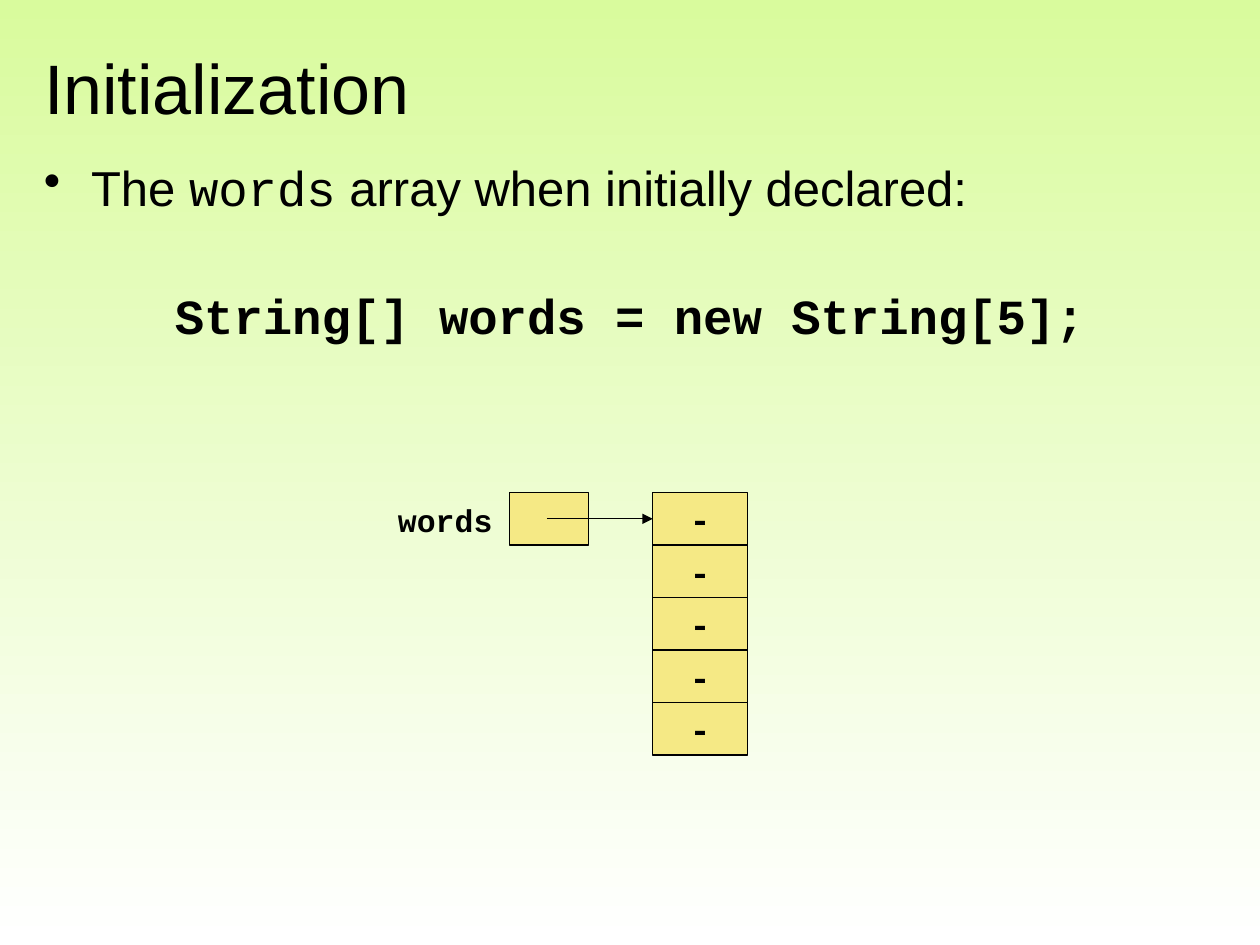
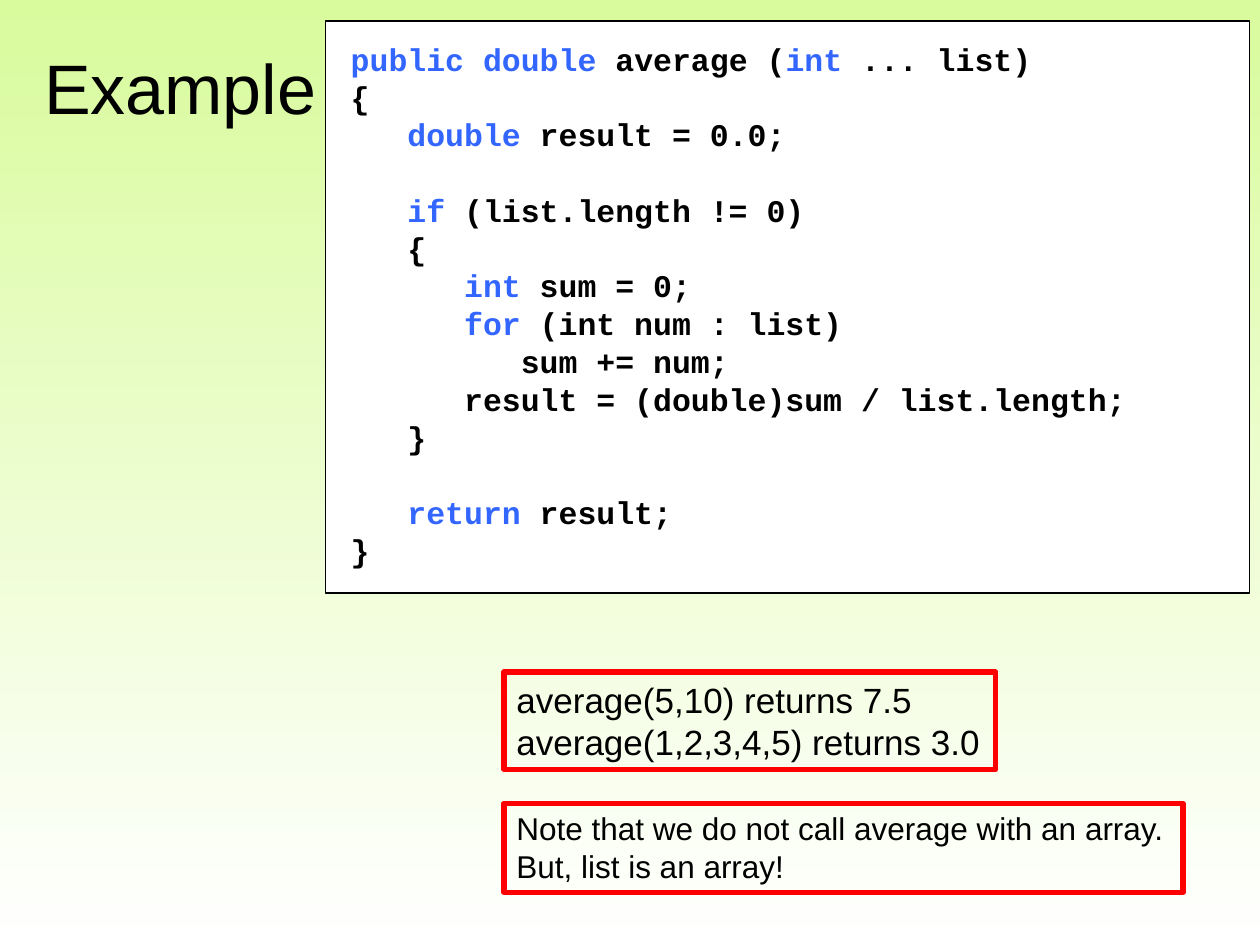
from dataclasses import dataclass
from typing import Optional

from lxml import etree
from pptx import Presentation
from pptx.dml.color import RGBColor
from pptx.enum.shapes import MSO_CONNECTOR, MSO_SHAPE
from pptx.enum.text import MSO_ANCHOR, PP_ALIGN
from pptx.oxml.ns import qn
from pptx.util import Pt

RECTANGLE = MSO_SHAPE.RECTANGLE
STRAIGHT = MSO_CONNECTOR.STRAIGHT
TOP, MIDDLE = MSO_ANCHOR.TOP, MSO_ANCHOR.MIDDLE
LEFT, CENTER = PP_ALIGN.LEFT, PP_ALIGN.CENTER
LEFT_SIDE = 1

SANS, MONO = "Arial", "Courier New"
BLACK, WHITE, LIME = "000000", "FFFFFF", "D9FB9D"
CELL_YELLOW, KEYWORD_BLUE, NOTE_RED = "F5E985", "3366FF", "FF0000"

CODE_SIZE = 18
CODE_INDENT = 32.4  # three Courier characters at 18 pt
CODE_BLANK = 21.5


@dataclass(frozen=True)
class Span:
    text: str
    size: float
    font: str = SANS
    bold: bool = False
    color: str = BLACK


@dataclass(frozen=True)
class Line:
    spans: tuple[Span, ...]
    indent: float = 0
    space_before: float = 0
    spacing: Optional[float] = None
    align: PP_ALIGN = LEFT
    bullet: bool = False


@dataclass(frozen=True)
class Box:
    left: float
    top: float
    width: float
    height: float
    fill: Optional[str] = None
    outline: Optional[str] = None
    weight: float = 0.75
    inset_x: float = 7.2
    inset_y: float = 3.6
    anchor: MSO_ANCHOR = TOP
    wrap: bool = True


def rgb(color: str) -> RGBColor:
    return RGBColor.from_string(color)


def add_span(paragraph, span: Span) -> None:
    run = paragraph.add_run()
    run.text = span.text
    font = run.font
    font.name, font.size, font.bold = span.font, Pt(span.size), span.bold
    font.color.rgb = rgb(span.color)


def write_lines(frame, lines: list[Line]) -> None:
    for number, line in enumerate(lines):
        paragraph = frame.add_paragraph() if number else frame.paragraphs[0]
        paragraph.alignment = line.align
        paragraph.space_before = Pt(line.space_before)
        if line.spacing:
            paragraph.line_spacing = line.spacing
        properties = paragraph._p.get_or_add_pPr()
        properties.set("marL", str(Pt(line.indent)))
        if line.bullet:
            properties.set("indent", str(-Pt(line.indent)))
            etree.SubElement(properties, qn("a:buChar")).set("char", "•")
        for span in line.spans:
            add_span(paragraph, span)


def add_box(slide, box: Box, lines: list[Line]):
    place = Pt(box.left), Pt(box.top), Pt(box.width), Pt(box.height)
    if box.outline:
        shape = slide.shapes.add_shape(RECTANGLE, *place)
        shape.shadow.inherit = False
        shape.line.color.rgb = rgb(box.outline)
        shape.line.width = Pt(box.weight)
        if box.fill:
            shape.fill.solid()
            shape.fill.fore_color.rgb = rgb(box.fill)
        else:
            shape.fill.background()
    else:
        shape = slide.shapes.add_textbox(*place)
    frame = shape.text_frame
    frame.word_wrap = box.wrap
    frame.vertical_anchor = box.anchor
    frame.margin_left = frame.margin_right = Pt(box.inset_x)
    frame.margin_top = frame.margin_bottom = Pt(box.inset_y)
    write_lines(frame, lines)
    return shape


def add_arrow(slide, start_x: float, y: float, target) -> None:
    """Draw an arrow from a point to the left side of the target."""
    arrow = slide.shapes.add_connector(STRAIGHT, Pt(start_x), Pt(y), target.left, Pt(y))
    arrow.end_connect(target, LEFT_SIDE)
    arrow.line.color.rgb = rgb(BLACK)
    arrow.line.width = Pt(0.75)
    tail = etree.SubElement(arrow.line._get_or_add_ln(), qn("a:tailEnd"))
    tail.set("type", "triangle")
    etree.SubElement(arrow._element.spPr, qn("a:effectLst"))


def set_background(master) -> None:
    fill = master.background.fill
    fill.gradient()
    fill.gradient_angle = 270
    for stop, color, position in zip(fill.gradient_stops, (LIME, WHITE), (0, 1)):
        stop.color.rgb = rgb(color)
        stop.position = position


def add_titled_slide(prs, heading: str):
    slide = prs.slides.add_slide(prs.slide_layouts[5])
    title = slide.shapes.title
    title.left, title.top, title.width, title.height = Pt(18), Pt(21.6), Pt(684), Pt(56)
    title.text_frame.vertical_anchor = MIDDLE
    write_lines(title.text_frame, [Line((Span(heading, 40),))])
    return slide


def mono(text: str, size: float = CODE_SIZE) -> Span:
    return Span(text, size, MONO, True)


def code(depth: int, text: str, *, after_blank: bool = False) -> Line:
    """Make a code line, in which keywords stand between bars."""
    spans = tuple(
        Span(part, CODE_SIZE, MONO, True, KEYWORD_BLUE if number % 2 else BLACK)
        for number, part in enumerate(text.split("|"))
        if part
    )
    return Line(spans, depth * CODE_INDENT, CODE_BLANK if after_blank else 0)


def build_initialization(prs) -> None:
    slide = add_titled_slide(prs, "Initialization")
    introduction = (
        Span("The ", 28),
        Span("words", 28, MONO),
        Span(" array when initially declared:", 28),
    )
    declaration = (mono("String[] words = new String[5];", 28),)
    add_box(slide, Box(18, 90, 684, 414), [
        Line(introduction, 27, 6, 0.9, bullet=True),
        Line(declaration, 0, 43, 0.9, CENTER),
    ])

    row_top, row_height, cell_count = 281.5, 30, 5
    add_box(slide, Box(291, row_top, 45.5, row_height, CELL_YELLOW, BLACK), [])
    add_box(slide, Box(220.3, 283, 68.4, 29, wrap=False), [Line((mono("words"),))])
    cells = [
        add_box(
            slide,
            Box(373, row_top + row * row_height, 54, row_height,
                CELL_YELLOW, BLACK, anchor=MIDDLE, wrap=False),
            [Line((mono("-", 20),), align=CENTER)],
        )
        for row in range(cell_count)
    ]
    add_arrow(slide, 312.5, row_top + row_height / 2, cells[0])


def build_example(prs) -> None:
    slide = add_titled_slide(prs, "Example")
    add_box(slide, Box(186, 12, 528, 327, WHITE, BLACK, inset_x=14.4, inset_y=10.8), [
        code(0, "|public double |average (|int |... list)"),
        code(0, "{"),
        code(1, "|double |result = 0.0;"),
        code(1, "|if |(list.length != 0)", after_blank=True),
        code(1, "{"),
        code(2, "|int |sum = 0;"),
        code(2, "|for |(int num : list)"),
        code(3, "sum += num;"),
        code(2, "result = (double)sum / list.length;"),
        code(1, "}"),
        code(1, "|return |result;", after_blank=True),
        code(0, "}"),
    ])
    calls = ("average(5,10) returns 7.5", "average(1,2,3,4,5) returns 3.0")
    remark = ("Note that we do not call average with an array.", "But, list is an array!")
    for top, width, height, size, sentences in (
        (384, 281, 55.7, 20, calls),
        (459, 388, 51, 18, remark),
    ):
        add_box(
            slide,
            Box(288, top, width, height, outline=NOTE_RED, weight=3, wrap=False),
            [Line((Span(sentence, size),)) for sentence in sentences],
        )


def main() -> None:
    prs = Presentation()
    prs.slide_width, prs.slide_height = Pt(720), Pt(540)
    set_background(prs.slide_master)
    build_initialization(prs)
    build_example(prs)
    prs.save("out.pptx")


if __name__ == "__main__":
    main()
